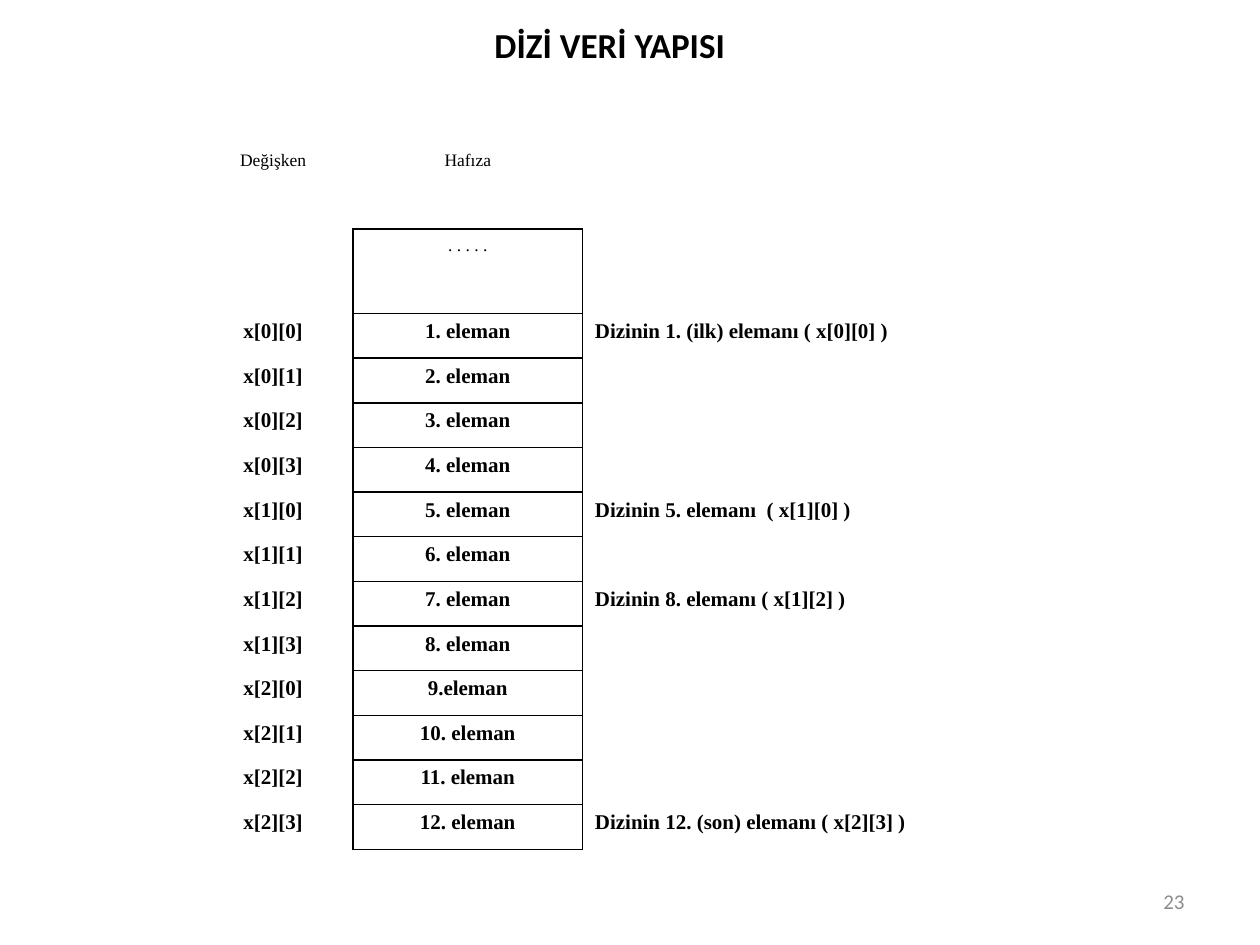
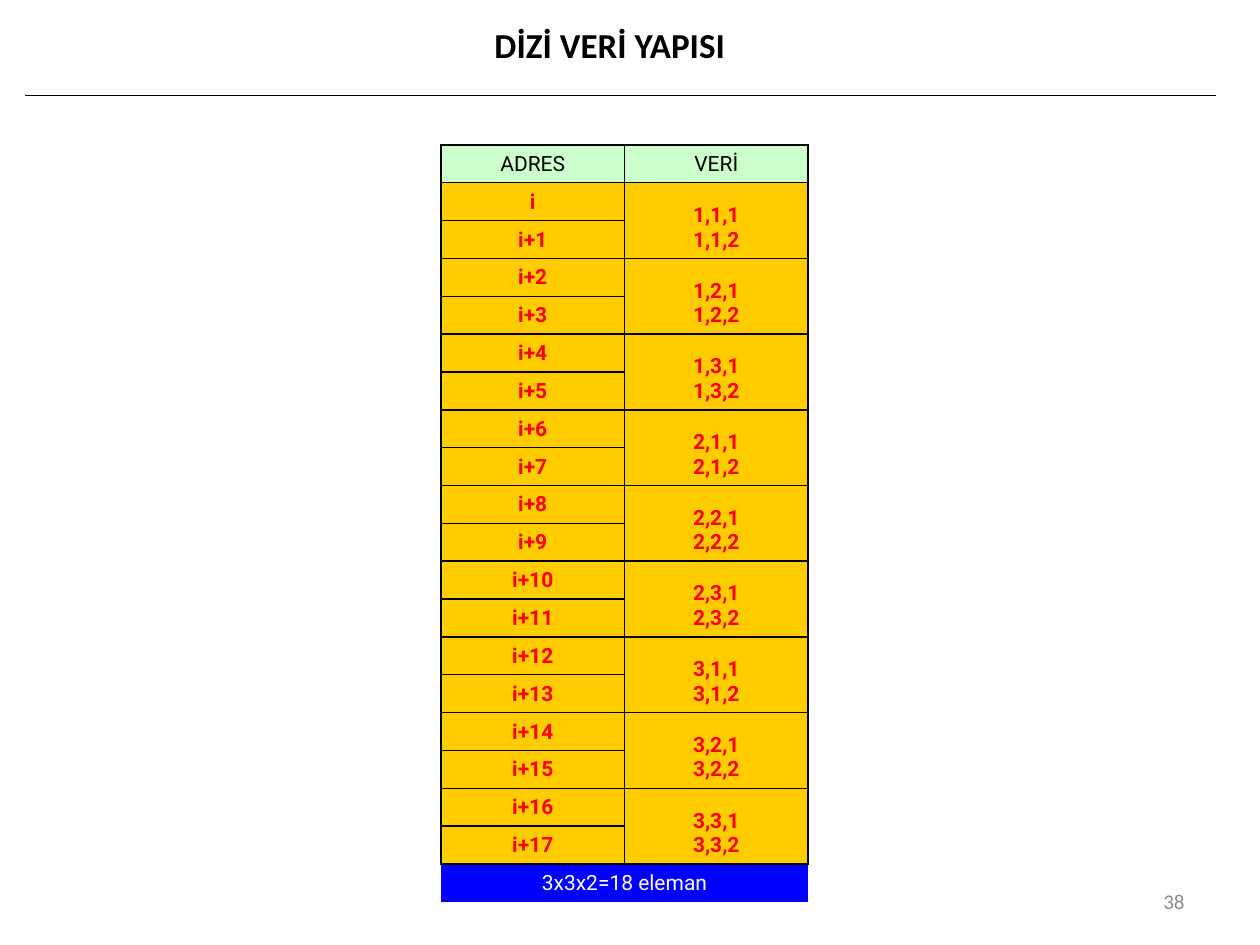
from dataclasses import dataclass

from lxml import etree
from pptx import Presentation
from pptx.dml.color import RGBColor
from pptx.enum.shapes import MSO_CONNECTOR
from pptx.enum.text import MSO_ANCHOR, PP_ALIGN
from pptx.oxml.ns import qn
from pptx.util import Cm, Pt

LEFT, CENTER, RIGHT, JUSTIFY = PP_ALIGN.LEFT, PP_ALIGN.CENTER, PP_ALIGN.RIGHT, PP_ALIGN.JUSTIFY
TOP, MIDDLE, BOTTOM = MSO_ANCHOR.TOP, MSO_ANCHOR.MIDDLE, MSO_ANCHOR.BOTTOM
STRAIGHT = MSO_CONNECTOR.STRAIGHT

BLACK, WHITE, GRAY, RED = "000000", "FFFFFF", "8C8C8C", "FF0000"
GREEN, AMBER, BLUE = "CCFFCC", "FFCC00", "0000FF"
HEADING = "DİZİ VERİ YAPISI"
PLAIN_TABLE_STYLE = "{2D5ABB26-0587-4C30-8999-92F81FD0307C}"
TABLE_TOP = 2.92
ALL_SIDES = "LRTB"


@dataclass(frozen=True)
class TextStyle:
    font: str
    size: float
    color: str = BLACK
    bold: bool = False
    align: PP_ALIGN = CENTER
    anchor: MSO_ANCHOR = MIDDLE


@dataclass(frozen=True)
class CellLook:
    text: TextStyle
    fill: str = ""
    borders: str = ""


TITLE = TextStyle("Calibri", 20, bold=True)
PAGE_NUMBER = TextStyle("Calibri", 12, GRAY, align=RIGHT)

MEMORY_HEAD = TextStyle("Times New Roman", 10, anchor=TOP)
MEMORY_BODY = TextStyle("Times New Roman", 12, bold=True, anchor=TOP)
MEMORY_NOTE = TextStyle("Times New Roman", 12, bold=True, align=JUSTIFY, anchor=TOP)

ADDRESS_HEAD = CellLook(TextStyle("Roboto", 12, anchor=BOTTOM), GREEN, ALL_SIDES)
ADDRESS_BODY = CellLook(TextStyle("Roboto", 12, RED, True, anchor=BOTTOM), AMBER, ALL_SIDES)
ADDRESS_TOTAL = CellLook(TextStyle("Roboto", 12, WHITE, anchor=BOTTOM), BLUE, "T")


def rgb(color: str) -> RGBColor:
    return RGBColor.from_string(color)


def write(frame, text: str, style: TextStyle) -> None:
    """Write each line of text as one paragraph."""
    for index, line in enumerate(text.split("\n")):
        paragraph = frame.add_paragraph() if index else frame.paragraphs[0]
        paragraph.alignment = style.align
        if line:
            run = paragraph.add_run()
            run.text = line
            run.font.name = style.font
            run.font.size = Pt(style.size)
            run.font.bold = style.bold
            run.font.color.rgb = rgb(style.color)
        else:
            # keeps an empty cell from growing to the default text size
            etree.SubElement(paragraph._p, qn("a:endParaRPr"), sz=str(int(style.size * 100)))


def add_label(slide, text: str, style: TextStyle,
              left: float, top: float, width: float, height: float) -> None:
    box = slide.shapes.add_textbox(Cm(left), Cm(top), Cm(width), Cm(height))
    box.text_frame.word_wrap = True
    box.text_frame.vertical_anchor = style.anchor
    write(box.text_frame, text, style)


def add_page(deck, number: int):
    slide = deck.slides.add_slide(deck.slide_layouts[6])
    add_label(slide, str(number), PAGE_NUMBER, 18.21, 17.65, 5.92, 1.02)
    add_label(slide, HEADING, TITLE, 1.5, 0, 21.59, 1.8)
    return slide


def add_title_rule(slide) -> None:
    rule = slide.shapes.add_connector(STRAIGHT, Cm(0.51), Cm(1.93), Cm(24.51), Cm(1.93))
    rule.line.color.rgb = rgb(BLACK)
    rule.line.width = Pt(0.75)
    etree.SubElement(rule._element.spPr, qn("a:effectLst"))


def add_grid(slide, left: float, widths: list[float], heights: list[float]):
    frame = slide.shapes.add_table(len(heights), len(widths), Cm(left), Cm(TABLE_TOP),
                                   Cm(sum(widths)), Cm(sum(heights)))
    table = frame.table
    table.first_row = table.horz_banding = False
    table._tbl.tblPr.find(qn("a:tableStyleId")).text = PLAIN_TABLE_STYLE
    for column, width in zip(table.columns, widths):
        column.width = Cm(width)
    for row, height in zip(table.rows, heights):
        row.height = Cm(height)
    return table


def fill_cell(cell, text: str, look: CellLook) -> None:
    cell.vertical_anchor = look.text.anchor
    write(cell.text_frame, text, look.text)
    properties = cell._tc.get_or_add_tcPr()
    for side in look.borders:
        line = etree.SubElement(properties, qn(f"a:ln{side}"), w=str(Pt(1)))
        solid = etree.SubElement(line, qn("a:solidFill"))
        etree.SubElement(solid, qn("a:srgbClr"), val=BLACK)
    if look.fill:
        cell.fill.solid()
        cell.fill.fore_color.rgb = rgb(look.fill)
    else:
        cell.fill.background()


def build_memory_page(deck) -> None:
    """Two-dimensional array x[3][4] laid out in memory."""
    slide = add_page(deck, 23)
    notes = {
        1: "Dizinin 1. (ilk) elemanı ( x[0][0] )",
        5: "Dizinin 5. elemanı  ( x[1][0] )",
        7: "Dizinin 8. elemanı ( x[1][2] )",
        12: "Dizinin 12. (son) elemanı ( x[2][3] )",
    }
    rows = [("Değişken", "Hafıza", ""), ("", ". . . . .", "")]
    for position in range(1, 13):
        i, j = divmod(position - 1, 4)
        gap = "" if position == 9 else " "
        rows.append((f"x[{i}][{j}]", f"{position}.{gap}eleman", notes.get(position, "")))

    table = add_grid(slide, 3.89, [3.23, 4.62, 10.97], [1.7] * 2 + [0.9] * 12)
    for r, (variable, memory, note) in enumerate(rows):
        style = MEMORY_HEAD if r < 2 else MEMORY_BODY
        fill_cell(table.cell(r, 0), variable, CellLook(style, borders="R" if r else ""))
        fill_cell(table.cell(r, 1), memory, CellLook(style, borders=ALL_SIDES if r else "B"))
        fill_cell(table.cell(r, 2), note, CellLook(MEMORY_NOTE, borders="L" if r else ""))


def build_address_page(deck) -> None:
    """Addresses of a 3x3x2 array, two addresses to each data cell."""
    slide = add_page(deck, 38)
    add_title_rule(slide)
    table = add_grid(slide, 8.89, [3.7, 3.7], [0.75] * 20)
    for column, head in enumerate(("ADRES", "VERİ")):
        fill_cell(table.cell(0, column), head, ADDRESS_HEAD)

    for offset in range(18):
        row = offset + 1
        fill_cell(table.cell(row, 0), f"i+{offset}" if offset else "i", ADDRESS_BODY)
        data = ""
        if offset % 2 == 0:
            i, j = divmod(offset // 2, 3)
            data = "\n".join(f"{i + 1},{j + 1},{k}" for k in (1, 2))
            table.cell(row, 1).merge(table.cell(row + 1, 1))
        fill_cell(table.cell(row, 1), data, ADDRESS_BODY)

    table.cell(19, 0).merge(table.cell(19, 1))
    for column, total in enumerate(("3x3x2=18 eleman", "")):
        fill_cell(table.cell(19, column), total, ADDRESS_TOTAL)


def main() -> None:
    deck = Presentation()
    deck.slide_width, deck.slide_height = Cm(25.4), Cm(19.05)
    build_memory_page(deck)
    build_address_page(deck)
    deck.save("out.pptx")


if __name__ == "__main__":
    main()
